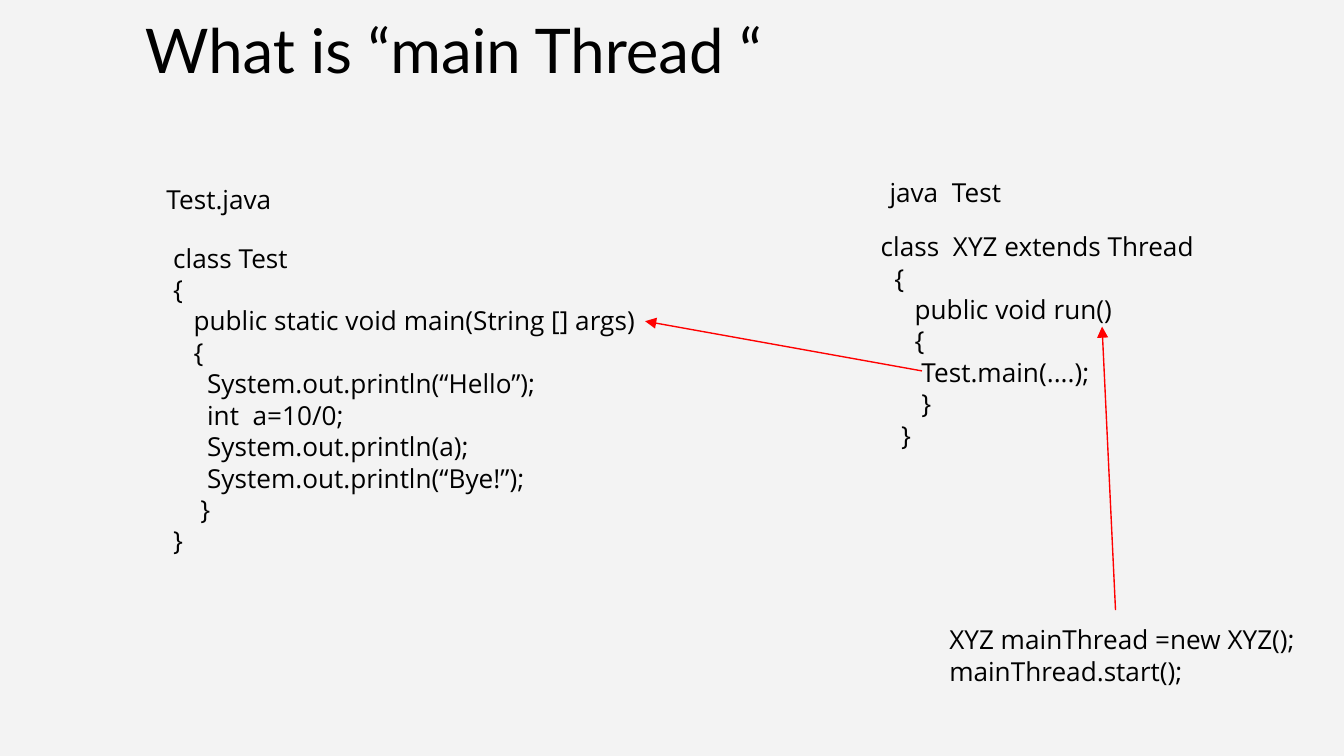
from dataclasses import dataclass

from lxml import etree
from pptx import Presentation
from pptx.dml.color import RGBColor
from pptx.enum.shapes import MSO_CONNECTOR
from pptx.enum.text import MSO_ANCHOR
from pptx.oxml.ns import qn
from pptx.util import Pt

PX = 4572
STRAIGHT = MSO_CONNECTOR.STRAIGHT
TOP, BOTTOM = MSO_ANCHOR.TOP, MSO_ANCHOR.BOTTOM


@dataclass(frozen=True)
class Theme:
    """Colours, fonts and type sizes of the deck."""
    background: RGBColor = RGBColor(0xF3, 0xF3, 0xF3)
    ink: RGBColor = RGBColor(0, 0, 0)
    arrow: RGBColor = RGBColor(0xFF, 0, 0)
    title_font: str = "Lato"
    code_font: str = "Open Sans"
    title_size: float = 33
    code_size: float = 14
    code_pitch: float = 16.85
    arrow_width: float = 0.75


THEME = Theme()

TEST_CLASS = """class Test
{
   public static void main(String [] args)
   {
     System.out.println(“Hello”);
     int  a=10/0;
     System.out.println(a);
     System.out.println(“Bye!”);
    }
}"""

THREAD_CLASS = """class  XYZ extends Thread\v  {
     public void run()
     {
      Test.main(....);
      }
   }"""

THREAD_START = """XYZ mainThread =new XYZ();
mainThread.start();"""


def add_text(page, text, box, font=THEME.code_font, size=THEME.code_size,
             pitch=THEME.code_pitch, anchor=TOP, indent=0):
    """Place text in a box, one paragraph for each line."""
    shape = page.shapes.add_textbox(*(length * PX for length in box))
    frame = shape.text_frame
    frame.word_wrap = True
    frame.vertical_anchor = anchor
    frame.margin_left = frame.margin_right = 20 * PX
    frame.margin_top = frame.margin_bottom = 20 * PX
    frame.text = text
    for para in frame.paragraphs:
        if indent:
            para._p.get_or_add_pPr().set("marL", str(indent * PX))
        if pitch:
            para.line_spacing = Pt(pitch)
        for span in para.runs:
            span.font.name = font
            span.font.size = Pt(size)
            span.font.color.rgb = THEME.ink


def add_arrow(page, start, end):
    """Draw a straight line with a triangular head at its end."""
    arrow = page.shapes.add_connector(
        STRAIGHT, *(length * PX for length in start + end))
    arrow.line.color.rgb = THEME.arrow
    arrow.line.width = Pt(THEME.arrow_width)
    head = etree.SubElement(arrow.line._get_or_add_ln(), qn("a:tailEnd"))
    head.set("type", "triangle")
    etree.SubElement(arrow._element.spPr, qn("a:effectLst"))


def add_title(page, box):
    """Place the slide title at the foot of its box."""
    add_text(page, "What is “main Thread “", box, font=THEME.title_font,
             size=THEME.title_size, pitch=None, anchor=BOTTOM, indent=164)


def add_source_file(page, box):
    """Place the file name and the class it holds."""
    left, top, width, height = box
    add_text(page, "Test.java", (left, top, 202, 88))
    add_text(page, TEST_CLASS, (left + 10, top + 87, width - 10, height - 87))


def add_launch(page, box):
    """Place the command, the thread class and the code that starts it."""
    left, top, width, height = box
    add_text(page, "java  Test", (left + 13, top, 356, 88))
    add_text(page, THREAD_CLASS, (left, top + 81, 534, 418))
    add_text(page, THREAD_START,
             (left + 102, top + height - 134, width - 102, 134))
    add_arrow(page, (left + 369, top + 666), (left + 349, top + 244))
    add_arrow(page, (left + 81, top + 310), (left - 331, top + 236))


def main():
    """Build the deck and save it."""
    deck = Presentation()
    deck.slide_width, deck.slide_height = 2000 * PX, 1125 * PX
    page = deck.slides.add_slide(deck.slide_layouts[6])
    page.background.fill.solid()
    page.background.fill.fore_color.rgb = THEME.background
    add_title(page, (32, 0, 1600, 148))
    add_source_file(page, (228, 253, 860, 599))
    add_launch(page, (1291, 242, 674, 800))
    deck.save("out.pptx")


if __name__ == "__main__":
    main()
